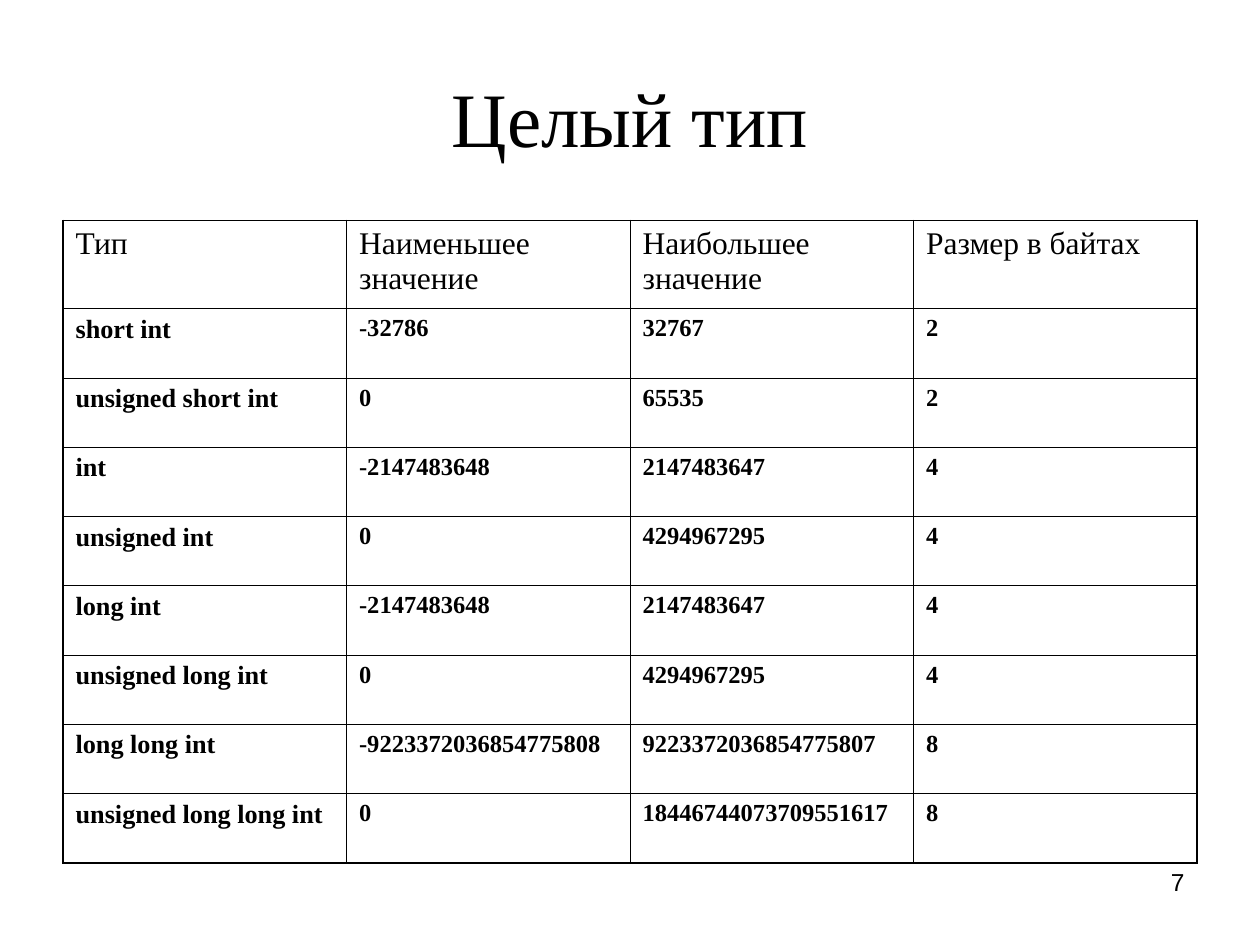
import pptx
import pptx.dml.color
import pptx.enum.text
import pptx.oxml.ns
import pptx.util
import lxml.etree

Inches = pptx.util.Inches
Pt = pptx.util.Pt
ALIGN = pptx.enum.text.PP_ALIGN
ANCHOR = pptx.enum.text.MSO_ANCHOR
SERIF = "Times New Roman"
BLACK = "000000"
THIN, THICK = 0.45, 1.08

HEAD = ["Тип", "Наименьшее значение", "Наибольшее значение", "Размер в байтах"]
TYPES = [
    ["short int", "-32786", "32767", "2"],
    ["unsigned short int", "0", "65535", "2"],
    ["int", "-2147483648", "2147483647", "4"],
    ["unsigned int", "0", "4294967295", "4"],
    ["long int", "-2147483648", "2147483647", "4"],
    ["unsigned long int", "0", "4294967295", "4"],
    ["long long int", "-9223372036854775808", "9223372036854775807", "8"],
    ["unsigned long long int", "0", "18446744073709551617", "8"],
]


def color(code):
    """Turn a hex string into a colour."""
    return pptx.dml.color.RGBColor.from_string(code)


def write(para, text, size, face=SERIF, bold=False):
    """Add one styled run to a paragraph."""
    run = para.add_run()
    run.text = text
    run.font.size = Pt(size)
    run.font.name = face
    run.font.bold = bold
    run.font.color.rgb = color(BLACK)


def label(slide, box, text, size, face, align, anchor):
    """Place a one-line text box."""
    frame = slide.shapes.add_textbox(*map(Inches, box)).text_frame
    frame.word_wrap = True
    frame.vertical_anchor = anchor
    para = frame.paragraphs[0]
    para.alignment = align
    write(para, text, size, face)


def border(cell, side, width):
    """Draw one solid edge of a cell."""
    qn = pptx.oxml.ns.qn
    props = cell._tc.get_or_add_tcPr()
    line = lxml.etree.SubElement(props, qn("a:ln" + side), w=str(Pt(width)))
    fill = lxml.etree.SubElement(line, qn("a:solidFill"))
    lxml.etree.SubElement(fill, qn("a:srgbClr"), val=BLACK)


def grid(slide, box, rows, top):
    """Place the table, with a first row of height top and equal rows below."""
    left, upper, width, height = box
    count, span = len(rows), len(rows[0])
    frame = slide.shapes.add_table(count, span, *map(Inches, box))
    table = frame.table
    table.first_row = table.horz_banding = False
    for col in table.columns:
        col.width = Inches(width / span)
    for r, row in enumerate(rows):
        table.rows[r].height = Inches(top if r == 0 else (height - top) / (count - 1))
        for c, text in enumerate(row):
            cell = table.cell(r, c)
            outer = {"L": c == 0, "R": c == span - 1, "T": r == 0, "B": r == count - 1}
            for side, edge in outer.items():
                border(cell, side, THICK if edge else THIN)
            cell.fill.background()
            size, gap = (18, 4.5) if r == 0 else (15, 3.7) if c == 0 else (14, 3.5)
            para = cell.text_frame.paragraphs[0]
            para.space_before = Pt(gap)
            write(para, text, size, bold=r > 0)


def main():
    """Build and save the slide."""
    deck = pptx.Presentation()
    deck.slide_width, deck.slide_height = Inches(10), Inches(7.5)
    slide = deck.slides.add_slide(deck.slide_layouts[6])
    label(slide, (0.5, 0.3, 9, 1.25), "Целый тип", 44, SERIF, ALIGN.CENTER, ANCHOR.MIDDLE)
    grid(slide, (0.5, 1.75, 9, 5.1), [HEAD] + TYPES, 0.7)
    label(slide, (7.17, 6.83, 2.33, 0.52), "7", 14, "Arial", ALIGN.RIGHT, ANCHOR.TOP)
    deck.save("out.pptx")


if __name__ == "__main__":
    main()
